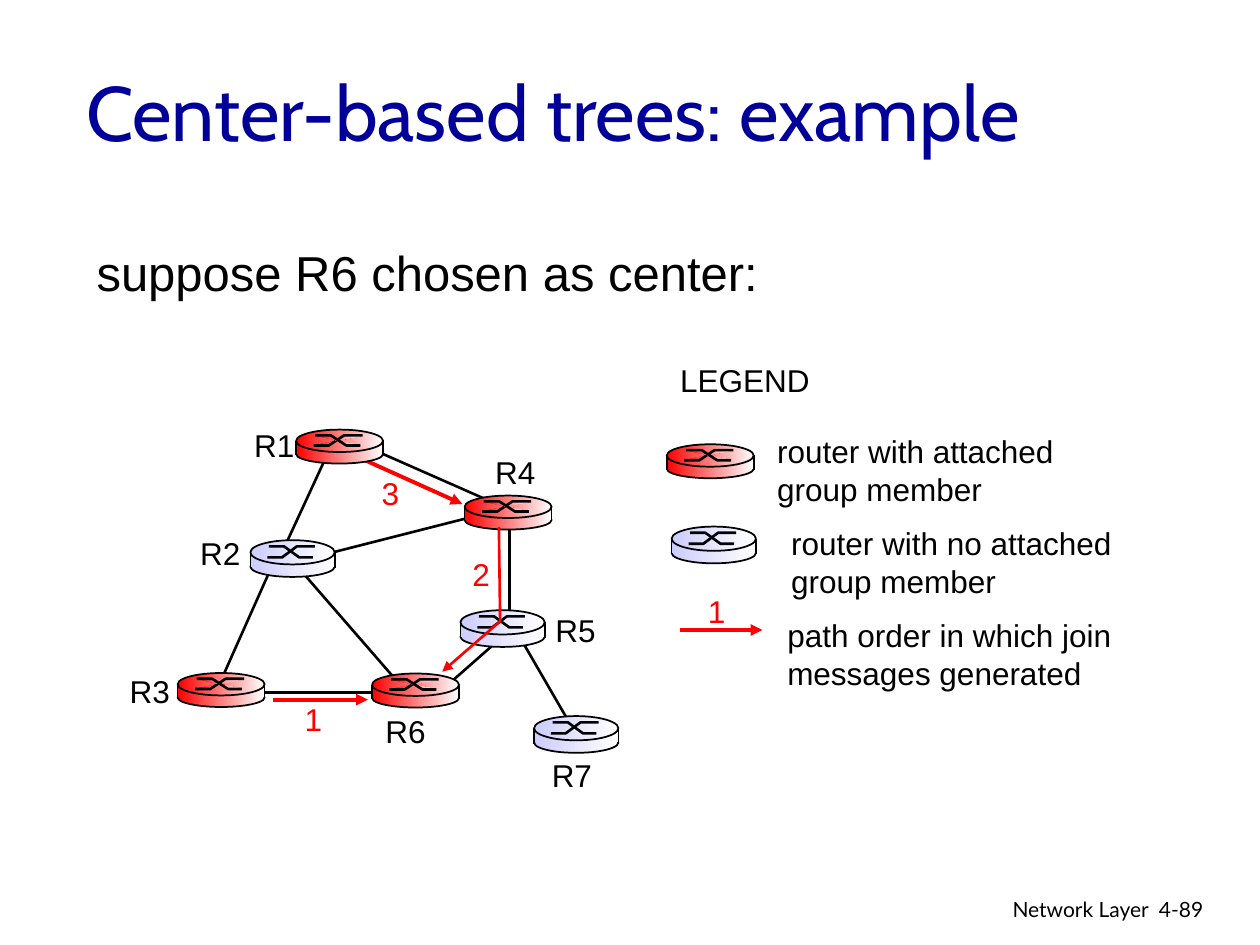
"""Build the slide on center-based multicast trees with its router diagram and legend."""
import dataclasses

import pptx
import pptx.dml.color
import pptx.enum.shapes
import pptx.enum.text
import pptx.oxml.ns
import pptx.util
from lxml import etree


@dataclasses.dataclass(frozen=True)
class Theme:
    title_font: str = "Cabin"
    body_font: str = "Arial"
    footer_font: str = "Lato"
    title_size: float = 44
    body_size: float = 28
    label_size: float = 18
    footer_size: float = 12
    title_color: str = "000099"
    ink: str = "000000"
    join: str = "FF0000"
    member: str = "FF0000"
    other: str = "CCCCFF"
    fade: str = "FFFFFF"
    outline: float = 1
    edge: float = 1.5
    arrow: float = 2.25


THEME = Theme()
Pt = pptx.util.Pt
SHAPES = pptx.enum.shapes.MSO_SHAPE
ALIGN = pptx.enum.text.PP_ALIGN
AUTO_SIZE = pptx.enum.text.MSO_AUTO_SIZE

TITLE = ("Center-based trees: example", (42, 18, 612, 90))
BODY = ("suppose R6 chosen as center:", (48, 132, 630, 366))
FOOTERS = [
    ("Network Layer", (435.6, 509, 228, 22), ALIGN.RIGHT),
    ("4-89", (655.2, 509, 53, 22), ALIGN.LEFT),
]
ROUTER_SIZES = {True: (49.7, 19.4), False: (48.2, 21)}
ROUTERS = [
    ("R1", True, (169.2, 245.5), (138.2, 239.8)),
    ("R4", True, (265.5, 283.2), (275.8, 255.6)),
    ("R6", True, (212.6, 384.9), (213.1, 403.2)),
    ("R3", True, (101.5, 384.6), (67, 380.2)),
    ("R2", False, (143.1, 308.7), (107.3, 301.7)),
    ("R5", False, (263.1, 348.7), (310.3, 345.6)),
    ("R7", False, (305.2, 409.2), (308.2, 428.4)),
    ("", True, (381, 253.9), None),
    ("", False, (383.8, 300.9), None),
]
EDGES = [
    ((293, 357.1), (324.7, 411.8)),
    ((182.9, 317.5), (290.2, 290.2)),
    ((162, 314.6), (229, 391.7)),
    ((210.2, 255.6), (288.7, 290.2)),
    ((249.8, 396.7), (292.3, 359.3)),
    ((291.3, 298.1), (291.3, 355)),
    ((136.8, 395.8), (217.4, 395.8)),
    ((155.5, 323.3), (126, 389.5)),
    ((188.6, 256.3), (161.3, 315.4)),
]
JOIN_ARROWS = [
    ((388.8, 360), (435.6, 360)),
    ((156.2, 399.8), (210.2, 399.8)),
    ((206.6, 262.1), (264.2, 288)),
]
JOIN_PATH = [(285.1, 301), (285.8, 355), (252.7, 383.8)]
JOIN_NUMBERS = [
    ("2", (262.8, 313.9)),
    ("1", (397.4, 334.8)),
    ("3", (211, 267.1)),
    ("1", (167, 396.7)),
]
LEGEND = [
    ("LEGEND", (381.6, 203, 88.6, 29), False),
    ("router with attached\ngroup member", (437, 243.4, 172.8, 50.4), False),
    ("router with no attached\ngroup member", (445, 295.9, 197.3, 50.4), False),
    ("path order in which join messages generated", (442.8, 348.5, 238.3, 50.4), True),
]
CROSS = [
    [(0.2, 0.47), (0.375, 0.47), (0.55, 0.17), (0.765, 0.17)],
    [(0.22, 0.17), (0.4, 0.17), (0.58, 0.47), (0.74, 0.47)],
]


def color(value):
    return pptx.dml.color.RGBColor.from_string(value)


def place(shape, box):
    shape.left, shape.top, shape.width, shape.height = map(Pt, box)


def write(text_frame, text, font, size, ink, align=ALIGN.LEFT):
    text_frame.text = text
    for paragraph in text_frame.paragraphs:
        paragraph.alignment = align
        for run in paragraph.runs:
            run.font.name, run.font.size = font, Pt(size)
            run.font.color.rgb = color(ink)


def add_text(slide, text, box, font=THEME.body_font, size=THEME.label_size,
             ink=THEME.ink, align=ALIGN.LEFT, wrap=True):
    text_frame = slide.shapes.add_textbox(*map(Pt, box)).text_frame
    text_frame.word_wrap = wrap
    write(text_frame, text, font, size, ink, align)


def set_line(line, ink, width, arrow=False):
    line.color.rgb, line.width = color(ink), Pt(width)
    if arrow:
        tag = pptx.oxml.ns.qn("a:tailEnd")
        etree.SubElement(line._get_or_add_ln(), tag, type="triangle")


def add_line(shapes, start, end, ink, width, arrow=False):
    straight = pptx.enum.shapes.MSO_CONNECTOR.STRAIGHT
    connector = shapes.add_connector(straight, *map(Pt, start + end))
    set_line(connector.line, ink, width, arrow)
    etree.SubElement(connector._element.spPr, pptx.oxml.ns.qn("a:effectLst"))


def add_polyline(shapes, points, ink, width, arrow=False):
    corners = [tuple(map(Pt, point)) for point in points]
    builder = shapes.build_freeform(*corners[0])
    builder.add_line_segments(corners[1:], close=False)
    shape = builder.convert_to_shape()
    shape.shadow.inherit = False
    shape.fill.background()
    set_line(shape.line, ink, width, arrow)
    return shape


def fade_fill(shape, start):
    shape.fill.gradient()
    shape.fill.gradient_angle = 0
    for stop, value in zip(shape.fill.gradient_stops, (start, THEME.fade)):
        stop.color.rgb = color(value)


def add_router(slide, is_member, corner):
    shapes = slide.shapes.add_group_shape().shapes
    left, top = corner
    width, height = ROUTER_SIZES[is_member]
    tint = THEME.member if is_member else THEME.other
    parts = [(SHAPES.OVAL, 0.44, 0.56), (SHAPES.RECTANGLE, 0.39, 0.33), (SHAPES.OVAL, 0, 0.66)]
    for kind, offset, share in parts:
        box = (left, top + offset * height, width, share * height)
        shape = shapes.add_shape(kind, *map(Pt, box))
        shape.shadow.inherit = False
        fade_fill(shape, tint)
        if kind == SHAPES.OVAL:
            set_line(shape.line, THEME.ink, THEME.outline)
        else:
            shape.line.fill.background()
    for stroke in CROSS:
        points = [(left + x * width, top + y * height) for x, y in stroke]
        shape = add_polyline(shapes, points, THEME.ink, THEME.edge)
        if is_member:
            fade_fill(shape, tint)
    for side in (left, left + width):
        add_line(shapes, (side, top + 0.33 * height), (side, top + 0.76 * height),
                 THEME.ink, THEME.outline)


def fill_placeholders(slide):
    title, body = slide.shapes.title, slide.placeholders[1]
    place(title, TITLE[1])
    title.text_frame.vertical_anchor = pptx.enum.text.MSO_ANCHOR.MIDDLE
    write(title.text_frame, TITLE[0], THEME.title_font, THEME.title_size, THEME.title_color)
    place(body, BODY[1])
    body.text_frame.margin_top = Pt(6.8)
    write(body.text_frame, BODY[0], THEME.body_font, THEME.body_size, THEME.ink)
    paragraph = body.text_frame.paragraphs[0]
    paragraph.space_before = Pt(0)
    properties = paragraph._p.get_or_add_pPr()
    properties.set("marL", str(Pt(27)))
    properties.set("indent", str(-Pt(27)))
    etree.SubElement(properties, pptx.oxml.ns.qn("a:buNone"))
    for shape in (title, body):
        shape.text_frame.auto_size = AUTO_SIZE.NONE


def main():
    presentation = pptx.Presentation()
    presentation.slide_width, presentation.slide_height = Pt(720), Pt(540)
    slide = presentation.slides.add_slide(presentation.slide_layouts[1])
    fill_placeholders(slide)
    for text, box, align in FOOTERS:
        add_text(slide, text, box, THEME.footer_font, THEME.footer_size, align=align)
    for text, box, wrap in LEGEND:
        add_text(slide, text, box, wrap=wrap)
    for start, end in JOIN_ARROWS:
        add_line(slide.shapes, start, end, THEME.join, THEME.arrow, arrow=True)
    for text, corner in JOIN_NUMBERS:
        add_text(slide, text, corner + (24.5, 28.8), ink=THEME.join, wrap=False)
    for start, end in EDGES:
        add_line(slide.shapes, start, end, THEME.ink, THEME.edge)
    for name, is_member, corner, label_corner in ROUTERS:
        if name:
            add_text(slide, name, label_corner + (37.4, 28.8), wrap=False)
        add_router(slide, is_member, corner)
    add_polyline(slide.shapes, JOIN_PATH, THEME.join, THEME.edge, arrow=True)
    presentation.save("out.pptx")


if __name__ == "__main__":
    main()
